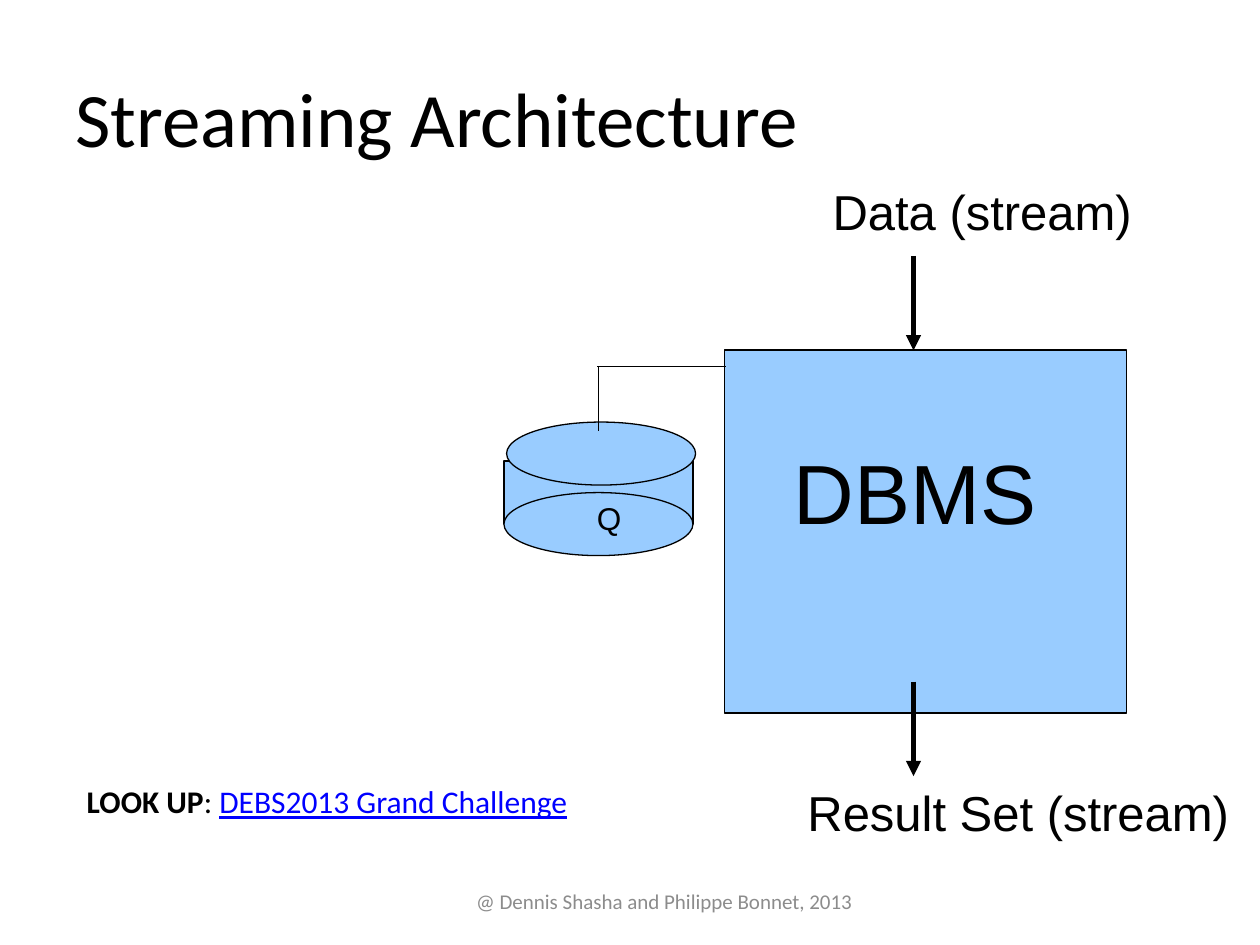
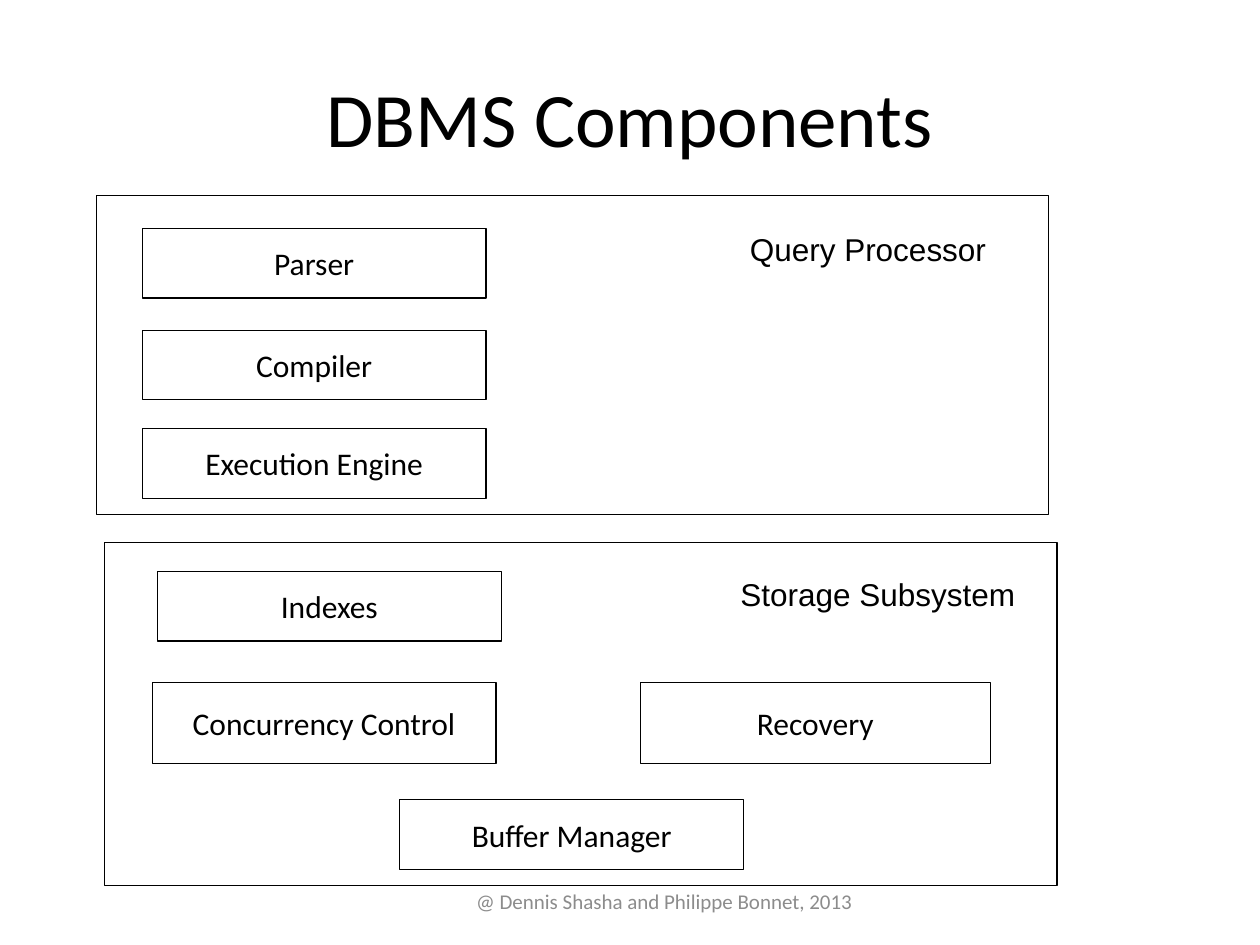
import pptx
import pptx.util
import pptx.dml.color
import pptx.enum.dml
import pptx.enum.shapes
import pptx.enum.text
import pptx.oxml.ns
import lxml.etree

Pt = pptx.util.Pt
MSO = pptx.enum.shapes.MSO_SHAPE
LEFT, CENTER = pptx.enum.text.PP_ALIGN.LEFT, pptx.enum.text.PP_ALIGN.CENTER
TOP, MIDDLE = pptx.enum.text.MSO_ANCHOR.TOP, pptx.enum.text.MSO_ANCHOR.MIDDLE
BLACK, WHITE, GREY, BLUE, LINK = "000000", "FFFFFF", "8C8C8C", "99CCFF", "0000FF"
THIN, THICK = 0.74, 2.89
FOOTER = "@ Dennis Shasha and Philippe Bonnet, 2013"


def rgb(code):
    """Turn a hex string into a colour."""
    return pptx.dml.color.RGBColor.from_string(code)


def write(tf, text, size=18, font="Calibri", color=BLACK, align=LEFT,
          anchor=TOP, bold=False, underline=False):
    """Add a formatted run to the first paragraph of a text frame."""
    tf.word_wrap = True
    tf.vertical_anchor = anchor
    p = tf.paragraphs[0]
    p.alignment = align
    r = p.add_run()
    r.text = text
    r.font.size = Pt(size)
    r.font.name = font
    r.font.bold = bold
    r.font.underline = underline
    r.font.color.rgb = rgb(color)


prs = pptx.Presentation()
prs.slide_width, prs.slide_height = Pt(720), Pt(540)
architecture, components = [prs.slides.add_slide(prs.slide_layouts[6]) for _ in range(2)]

# Titles and footers
for s, title, top, height, align in [
    (architecture, "Streaming Architecture", 21.6, 90, LEFT),
    (components, "DBMS Components", 24.7, 83.5, CENTER),
]:
    tf = s.shapes.add_textbox(Pt(36), Pt(top), Pt(648), Pt(height)).text_frame
    write(tf, title, size=44, align=align, anchor=MIDDLE)
    tf = s.shapes.add_textbox(Pt(244.6), Pt(500.4), Pt(270), Pt(28.8)).text_frame
    write(tf, FOOTER, size=12, color=GREY, align=CENTER, anchor=MIDDLE)

# Outlined shapes: slide, preset, left, top, width, height, fill, label
shapes = [
    (architecture, MSO.RECTANGLE, 288, 263.5, 108, 36, BLUE, ""),
    (architecture, MSO.RECTANGLE, 414, 200, 229.7, 207.5, BLUE, ""),
    (architecture, MSO.OVAL, 289.5, 241.2, 108, 36, BLUE, ""),
    (architecture, MSO.OVAL, 288, 281.5, 108, 36, BLUE, ""),
    (components, MSO.RECTANGLE, 55, 111.6, 544.3, 182.4, None, ""),
    (components, MSO.RECTANGLE, 59.8, 310.2, 544.3, 195.8, None, ""),
    (components, MSO.RECTANGLE, 87, 390, 196.5, 46.3, None, "Concurrency Control"),
    (components, MSO.RECTANGLE, 365.8, 390, 200.2, 46.3, None, "Recovery"),
]
for label, left, top in [
    ("Parser", 81.3, 130.5),
    ("Compiler", 81.3, 188.7),
    ("Execution Engine", 81.3, 244.9),
    ("Indexes", 90, 326.6),
    ("Buffer Manager", 228.5, 457),
]:
    shapes.append((components, MSO.RECTANGLE, left, top, 196.5, 39.8, WHITE, label))

for s, preset, left, top, width, height, fill, label in shapes:
    sp = s.shapes.add_shape(preset, Pt(left), Pt(top), Pt(width), Pt(height))
    sp.shadow.inherit = False
    sp.line.color.rgb = rgb(BLACK)
    sp.line.width = Pt(THIN)
    if fill:
        sp.fill.solid()
        sp.fill.fore_color.rgb = rgb(fill)
    else:
        sp.fill.background()
    if label:
        write(sp.text_frame, label, align=CENTER, anchor=MIDDLE)

# Lines: slide, start, end, width, arrowhead, dotted
for s, x1, y1, x2, y2, width, arrow, dotted in [
    (architecture, 522, 146.2, 522, 200.2, THICK, True, False),
    (architecture, 522, 389.5, 522, 443.5, THICK, True, False),
    (architecture, 342, 246.2, 342, 209, THIN, False, False),
    (architecture, 414.7, 209.3, 341.3, 209.3, THIN, False, False),
    (components, 90, 310.2, 290.9, 310.2, THIN, False, True),
]:
    line = s.shapes.add_connector(pptx.enum.shapes.MSO_CONNECTOR.STRAIGHT,
                                  Pt(x1), Pt(y1), Pt(x2), Pt(y2))
    line.line.color.rgb = rgb(BLACK)
    line.line.width = Pt(width)
    if dotted:
        line.line.dash_style = pptx.enum.dml.MSO_LINE.ROUND_DOT
    if arrow:
        lxml.etree.SubElement(line.line._get_or_add_ln(),
                              pptx.oxml.ns.qn("a:tailEnd"), type="triangle")
    lxml.etree.SubElement(line._element.spPr, pptx.oxml.ns.qn("a:effectLst"))

# Free labels, each box wide enough for one line
for s, text, left, top, width, height, size in [
    (architecture, "Data (stream)", 468.7, 100, 196.6, 56, 28),
    (architecture, "Q", 334, 281.5, 28, 27.4, 18),
    (architecture, "Result Set (stream)", 454.3, 443.5, 262, 56, 28),
    (architecture, "DBMS", 446.4, 248.4, 180, 60.5, 48),
    (components, "Query Processor", 421.4, 127.8, 170, 28.8, 18),
    (components, "Storage Subsystem", 416, 325, 185, 29.5, 18),
]:
    tf = s.shapes.add_textbox(Pt(left), Pt(top), Pt(width), Pt(height)).text_frame
    write(tf, text, size=size, font="Arial")

tf = architecture.shapes.add_textbox(Pt(42.5), Pt(443.5), Pt(310), Pt(28.8)).text_frame
write(tf, "LOOK UP", bold=True)
write(tf, ": ")
write(tf, "DEBS2013 Grand Challenge", color=LINK, underline=True)

prs.save("out.pptx")
